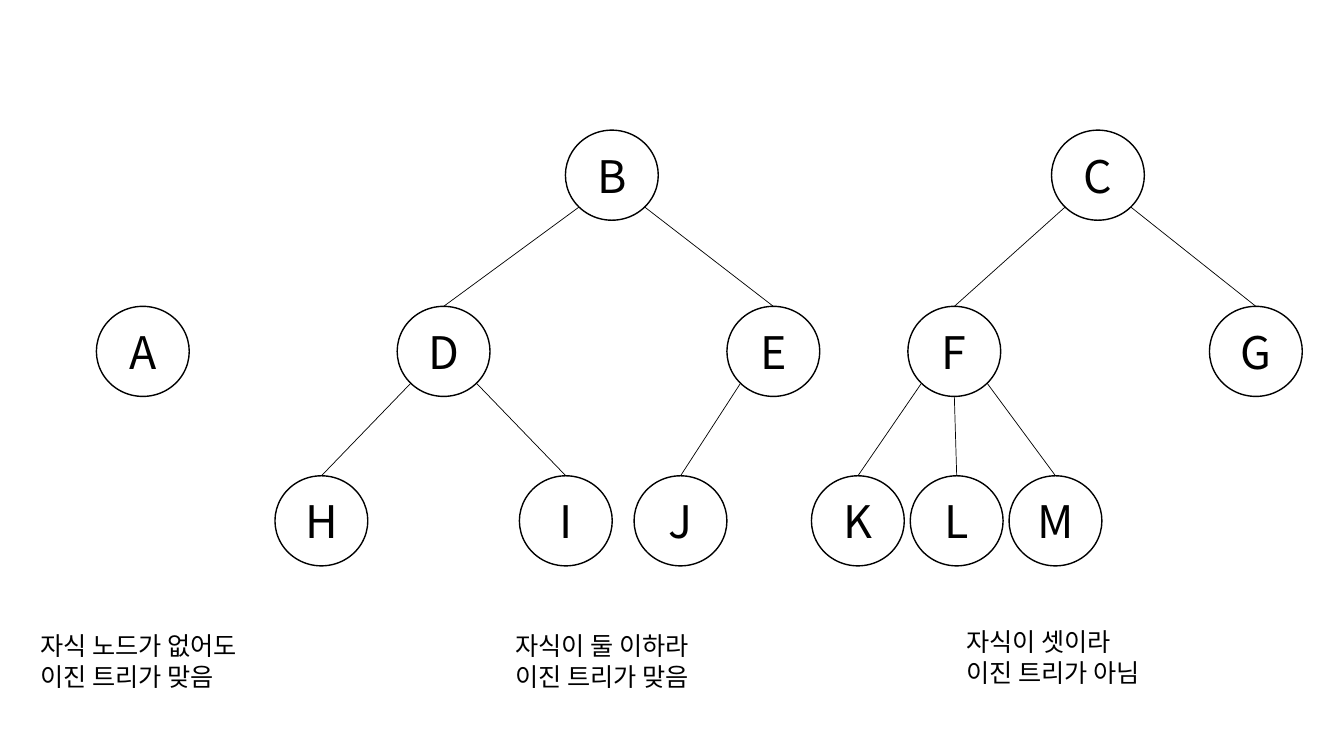
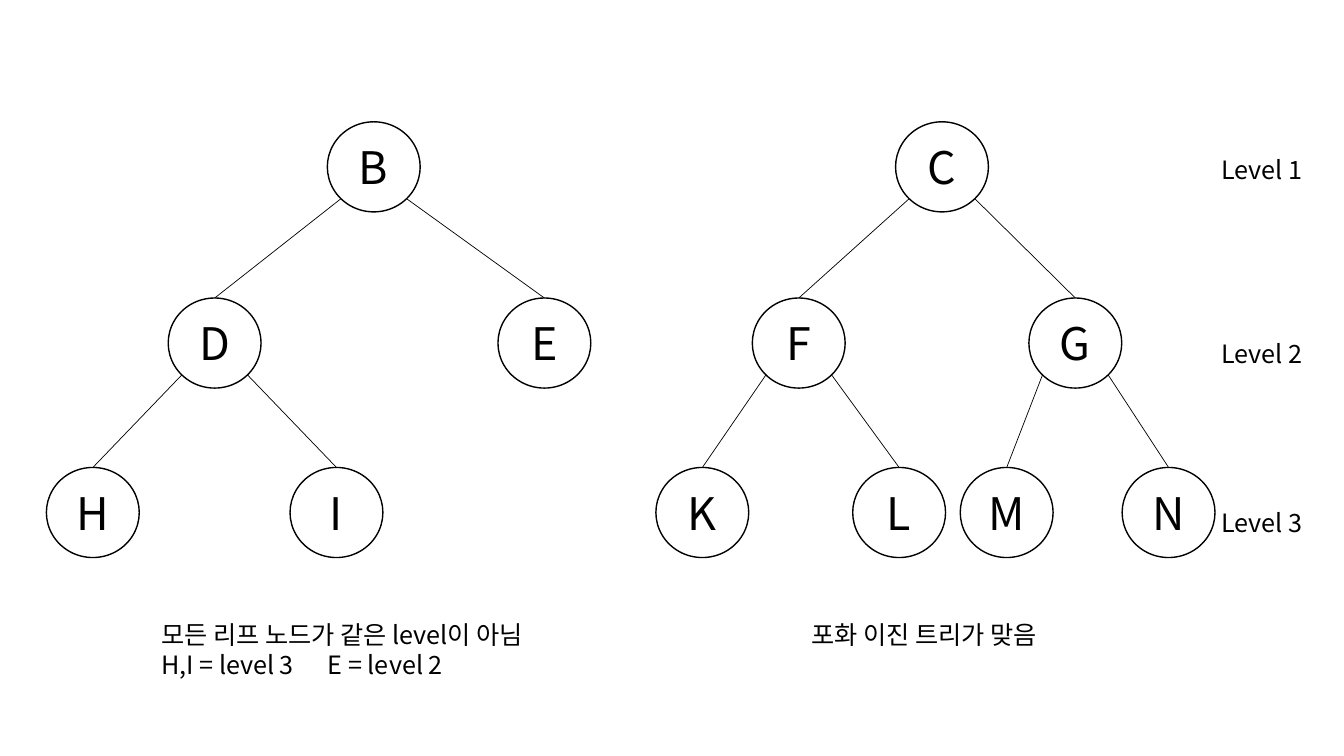
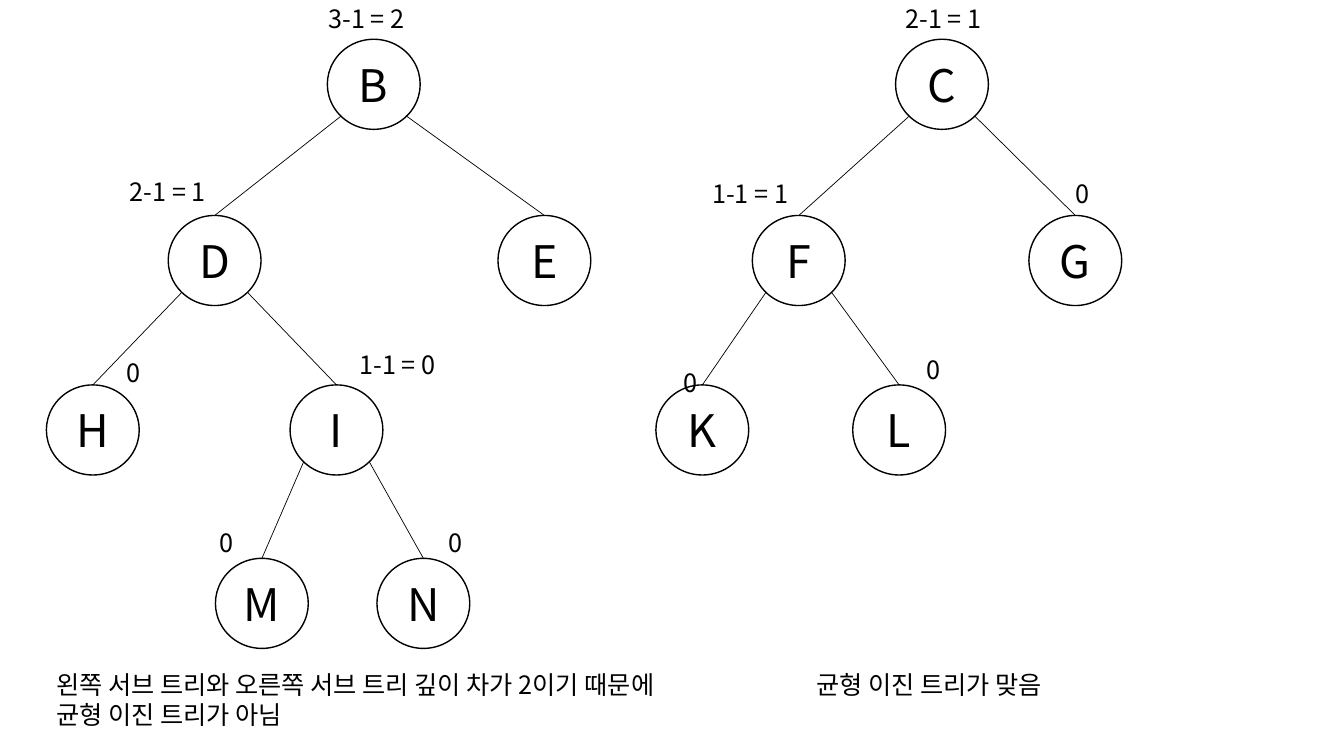
import pptx
import pptx.util
import pptx.dml.color
import pptx.enum.shapes
import pptx.enum.text
import pptx.oxml.ns
import lxml.etree
import math

Cm, Pt = pptx.util.Cm, pptx.util.Pt
BLACK = pptx.dml.color.RGBColor(0x00, 0x00, 0x00)
FONT = "Noto Sans CJK KR"
NODE_W, NODE_H = 2.34, 2.27
LEVEL_OFFSETS = (0, 4.44, 8.71, 13.08)
LINE_H, BOX_PAD = 0.78, 0.24
TAB_STOP = 4.2

# Each level lists (letter, left in cm, parent letter).
ROOTS = [("B", 8.25, None), ("C", 22.57, None)]
SECOND = [("D", 4.24, "B"), ("E", 12.55, "B"), ("F", 18.96, "C"), ("G", 25.93, "C")]
THIRD = [("H", 1.17, "D"), ("I", 7.31, "D"), ("K", 16.53, "F"), ("L", 21.49, "F")]

# Each label is (left, top, width, lines of text, paragraphs), lengths in cm.
SLIDES = [
    {
        "top": 3.28,
        "levels": [
            [("B", 14.25, None), ("C", 26.5, None)],
            [("A", 2.43, None), ("D", 10.01, "B"), ("E", 18.32, "B"),
             ("F", 22.88, "C"), ("G", 30.48, "C")],
            [("H", 6.93, "D"), ("I", 13.09, "D"), ("J", 15.98, "E"),
             ("K", 20.45, "F"), ("L", 22.94, "F"), ("M", 25.43, "F")],
        ],
        "labels": [
            (0.76, 15.77, 6.17, 2, ["자식 노드가 없어도 이진 트리가 맞음"]),
            (12.73, 15.77, 6.17, 2, ["자식이 둘 이하라", "이진 트리가 맞음"]),
            (24.1, 15.67, 6.17, 2, ["자식이 셋이라", "이진 트리가 아님"]),
        ],
    },
    {
        "top": 3.07,
        "levels": [ROOTS, SECOND, THIRD + [("M", 24.2, "G"), ("N", 28.28, "G")]],
        "labels": [
            (3.81, 15.47, 11.68, 2,
             ["모든 리프 노드가 같은 level이 아님", "H,I = level 3\tE = level 2"]),
            (20.19, 15.47, 7.54, 1, ["포화 이진 트리가 맞음"]),
            (30.53, 3.76, 3.2, 1, ["Level 1"]),
            (30.53, 8.41, 3.2, 1, ["Level 2"]),
            (30.53, 12.65, 3.2, 1, ["Level 3"]),
        ],
    },
    {
        "top": 0.99,
        "levels": [ROOTS, SECOND, THIRD, [("M", 5.43, "I"), ("N", 9.5, "I")]],
        "labels": [
            (8.03, -0.03, 3.2, 1, ["3-1 = 2"]),
            (3.02, 4.32, 3.2, 1, ["2-1 = 1"]),
            (2.95, 8.89, 3.2, 1, ["0"]),
            (8.81, 8.69, 3.2, 1, ["1-1 = 0"]),
            (5.28, 13.16, 3.2, 1, ["0"]),
            (11.05, 13.16, 3.2, 1, ["0"]),
            (22.57, -0.05, 3.2, 1, ["2-1 = 1"]),
            (17.7, 4.37, 3.2, 1, ["1-1 = 1"]),
            (26.85, 4.37, 3.2, 1, ["0"]),
            (16.97, 9.14, 3.2, 1, ["0"]),
            (23.11, 8.81, 3.2, 1, ["0"]),
            (1.17, 16.74, 20.68, 2,
             ["왼쪽 서브 트리와 오른쪽 서브 트리 깊이 차가 2이기 때문에",
              "균형 이진 트리가 아님"]),
            (20.32, 16.74, 7.54, 1, ["균형 이진 트리가 맞음"]),
        ],
    },
]


def add_xml(parent, tag, **attrs):
    return lxml.etree.SubElement(parent, pptx.oxml.ns.qn(tag), attrs)


def add_run(p, text, size):
    r = p.add_run()
    r.text = text
    r.font.size = Pt(size)
    r.font.name = FONT
    r.font.color.rgb = BLACK
    add_xml(r.font._element, "a:ea", typeface=FONT)


def add_node(slide, letter, left, top):
    sp = slide.shapes.add_shape(pptx.enum.shapes.MSO_SHAPE.OVAL,
                                Cm(left), Cm(top), Cm(NODE_W), Cm(NODE_H))
    sp.shadow.inherit = False
    sp.fill.background()
    sp.line.color.rgb = BLACK
    sp.line.width = Pt(1)
    tf = sp.text_frame
    tf.margin_left = tf.margin_right = tf.margin_top = tf.margin_bottom = 0
    tf.word_wrap = False
    tf.vertical_anchor = pptx.enum.text.MSO_ANCHOR.MIDDLE
    p = tf.paragraphs[0]
    p.alignment = pptx.enum.text.PP_ALIGN.CENTER
    add_run(p, letter, 32)
    return sp


def add_edge(slide, parent, child):
    """Join the parent's lower left, bottom or lower right to the child's top."""
    shift = child.left - parent.left
    side = 0 if abs(shift) < Cm(0.5) else math.copysign(1, shift)
    angle = side * math.pi / 4
    x = parent.left + parent.width / 2 * (1 + math.sin(angle))
    y = parent.top + parent.height / 2 * (1 + math.cos(angle))
    line = slide.shapes.add_connector(pptx.enum.shapes.MSO_CONNECTOR.STRAIGHT,
                                      int(x), int(y),
                                      child.left + child.width // 2, child.top)
    line.line.color.rgb = BLACK
    line.line.width = Pt(0.5)
    add_xml(line._element.spPr, "a:effectLst")


def add_label(slide, left, top, width, lines, paragraphs):
    box = slide.shapes.add_textbox(Cm(left), Cm(top), Cm(width),
                                   Cm(BOX_PAD + lines * LINE_H))
    tf = box.text_frame
    tf.word_wrap = True
    tf.auto_size = pptx.enum.text.MSO_AUTO_SIZE.SHAPE_TO_FIT_TEXT
    for i, text in enumerate(paragraphs):
        p = tf.add_paragraph() if i else tf.paragraphs[0]
        if "\t" in text:
            tabs = add_xml(p._p.get_or_add_pPr(), "a:tabLst")
            add_xml(tabs, "a:tab", pos=str(Cm(TAB_STOP)), algn="l")
        add_run(p, text, 18)


def add_tree_slide(prs, top, levels, labels):
    slide = prs.slides.add_slide(prs.slide_layouts[6])
    nodes = {}
    for offset, level in zip(LEVEL_OFFSETS, levels):
        for letter, left, parent in level:
            nodes[letter] = add_node(slide, letter, left, top + offset)
            if parent:
                add_edge(slide, nodes[parent], nodes[letter])
    for label in labels:
        add_label(slide, *label)


def main():
    prs = pptx.Presentation()
    prs.slide_width, prs.slide_height = Cm(33.87), Cm(19.05)
    for content in SLIDES:
        add_tree_slide(prs, **content)
    prs.save("out.pptx")


if __name__ == "__main__":
    main()
